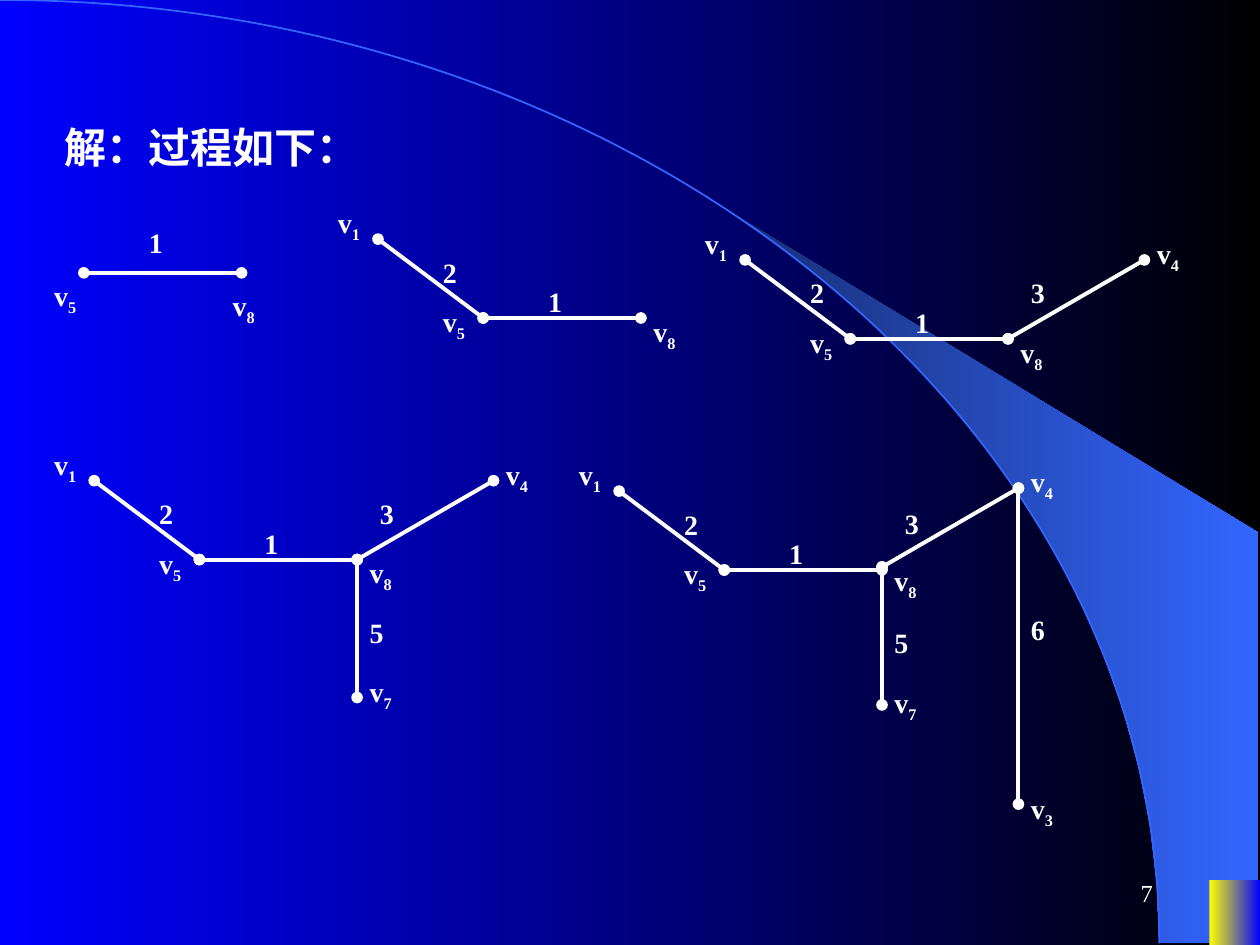
from dataclasses import dataclass
from math import cos, pi, sin

from lxml.etree import SubElement
from pptx import Presentation
from pptx.dml.color import RGBColor
from pptx.enum.shapes import MSO_CONNECTOR, MSO_SHAPE
from pptx.enum.text import MSO_ANCHOR, MSO_AUTO_SIZE, PP_ALIGN
from pptx.oxml.ns import qn
from pptx.util import Cm, Pt


@dataclass(frozen=True)
class Theme:
    font: str = "Times New Roman"
    white: str = "FFFFFF"
    blue: str = "0000FF"
    black: str = "000000"
    sky: str = "3366FF"
    navy: str = "182F76"
    yellow: str = "FFFF00"
    title: int = 24
    label: int = 16
    page: int = 14
    edge: float = 2.25
    arc: float = 1


THEME = Theme()

# Centimetres from v5; "end" is where the edge from v5 meets v8
POINTS = {
    "5": (0, 0), "end": (3.18, 0), "8": (3.18, 0), "1": (-2.12, -1.59),
    "4": (5.93, -1.59), "7": (3.18, 2.78), "3": (5.93, 4.72),
}
# Label corner, from its own vertex
NAMES = {
    "5": (-1.06, -0.39), "8": (0, -0.2), "1": (-1.06, -0.8),
    "4": (0, -0.59), "7": (0, -0.59), "3": (0, -0.38),
}
# Weight: first vertex, last vertex, label corner from v5
EDGES = {
    "1": ("5", "end", (1.06, -0.79)),
    "2": ("1", "5", (-1.06, -1.39)),
    "3": ("4", "8", (3.39, -1.4)),
    "5": ("8", "7", (3.18, 1)),
    "6": ("4", "3", (5.93, 0.74)),
}
# Place of v5, rise of the weights, weights, vertices, own points, own labels
TREES = [
    (1.69, 5.5, 0.28, "1", "58", {}, {"5": (-0.85, 0), "8": (-0.43, 0.2)}),
    (9.74, 6.41, 0, "12", "581", {}, {}),
    (17.14, 6.83, 0, "123", "5814", {}, {}),
    (4.02, 11.28, 0, "1235", "58147", {}, {}),
    (14.6, 11.49, 0, "12356", "581473",
     {"8": (3.18, -0.06), "4": (5.93, -1.65), "7": (3.18, 2.72)},
     {"7": (0, -0.52)}),
]


def rgb(color):
    return RGBColor.from_string(color)


def shade(fill, first, last):
    """Fill with a gradient from left to right."""
    fill.gradient()
    fill.gradient_angle = 0
    for stop, color in zip(fill.gradient_stops, (first, last)):
        stop.color.rgb = rgb(color)


def add_run(para, text, size, bold=True, sub=False):
    run = para.add_run()
    run.text = text
    run.font.name = THEME.font
    run.font.size = Pt(size)
    run.font.bold = bold
    run.font.color.rgb = rgb(THEME.white)
    if sub:
        run._r.get_or_add_rPr().set("baseline", "-25000")


def add_box(shapes, left, top, width, height):
    frame = shapes.add_textbox(Cm(left), Cm(top), Cm(width), Cm(height)).text_frame
    frame.word_wrap = True
    return frame


def add_label(shapes, left, top, text, sub=""):
    width, height = (1.32, 1.04) if sub else (1.09, 0.94)
    frame = add_box(shapes, left, top, width, height)
    frame.auto_size = MSO_AUTO_SIZE.SHAPE_TO_FIT_TEXT
    add_run(frame.paragraphs[0], text, THEME.label)
    if sub:
        add_run(frame.paragraphs[0], sub, THEME.label, sub=True)


def add_edge(shapes, start, end):
    """Draw a line with a dot at both ends."""
    edge = shapes.add_connector(MSO_CONNECTOR.STRAIGHT, *map(Cm, start + end))
    edge.line.color.rgb = rgb(THEME.white)
    edge.line.width = Pt(THEME.edge)
    for tag in ("a:headEnd", "a:tailEnd"):
        SubElement(edge.line._get_or_add_ln(), qn(tag)).set("type", "oval")
    SubElement(edge._element.spPr, qn("a:effectLst"))


def add_tree(slide, left, top, rise, weights, nodes, moves, shifts):
    shapes = slide.shapes.add_group_shape().shapes
    spots = {key: (left + x, top + y) for key, (x, y) in (POINTS | moves).items()}
    for weight in weights:
        start, end, (x, y) = EDGES[weight]
        add_edge(shapes, spots[start], spots[end])
        add_label(shapes, left + x, top + y - rise, weight)
    for node in nodes:
        x, y = (NAMES | shifts)[node]
        add_label(shapes, spots[node][0] + x, spots[node][1] + y, "v", node)


def add_free(slide, points, close):
    first, *rest = [(Cm(x), Cm(y)) for x, y in points]
    pen = slide.shapes.build_freeform(*first)
    pen.add_line_segments(rest, close=close)
    shape = pen.convert_to_shape()
    shape.shadow.inherit = False
    return shape


def add_wedge(slide, width, height, reach):
    """Fill the area between the arc and a line that leaves it."""
    start, steps = 0.695, 14
    angles = [start + (pi / 2 - start) * i / steps for i in range(steps + 1)]
    rim = [(reach * sin(a), height * (1 - cos(a))) for a in angles]
    wedge = add_free(slide, rim + [(width, height), (width, 10.74)], True)
    shade(wedge.fill, THEME.navy, THEME.sky)
    wedge.line.fill.background()


def add_arc(slide, reach, height):
    """Draw a quarter ellipse as one Bézier curve."""
    pull = 0.55
    arc = add_free(slide, [(0, 0), (pull * reach, 0),
                           (reach, (1 - pull) * height), (reach, height)], False)
    lines = list(arc._element.iter(qn("a:lnTo")))
    bend = SubElement(lines[0].getparent(), qn("a:cubicBezTo"))
    for line in lines:
        bend.append(line[0])
        line.getparent().remove(line)
    arc.fill.background()
    arc.line.color.rgb = rgb(THEME.sky)
    arc.line.width = Pt(THEME.arc)


def add_decor(slide, width, height):
    """Draw the wedge, the arc and the corner block within the slide."""
    shade(slide.background.fill, THEME.blue, THEME.black)
    reach, base = 23.37, height - 0.03
    add_wedge(slide, width - 0.03, base, reach)
    add_arc(slide, reach, base)
    block = slide.shapes.add_shape(
        MSO_SHAPE.RECTANGLE, Cm(width - 1.02), Cm(height - 1.31), Cm(1.02), Cm(1.31))
    block.shadow.inherit = False
    shade(block.fill, THEME.yellow, THEME.blue)
    block.line.fill.background()


def set_title(slide, left, top, width, height):
    title = slide.shapes.title
    title.left, title.top = Cm(left), Cm(top)
    title.width, title.height = Cm(width), Cm(height)
    frame = title.text_frame
    frame.word_wrap = True
    frame.auto_size = MSO_AUTO_SIZE.SHAPE_TO_FIT_TEXT
    frame.vertical_anchor = MSO_ANCHOR.TOP
    para = frame.paragraphs[0]
    para.alignment = PP_ALIGN.LEFT
    add_run(para, "解：过程如下：", THEME.title)


def add_page(slide, left, top, width, height):
    frame = add_box(slide.shapes, left, top, width, height)
    frame.vertical_anchor = MSO_ANCHOR.MIDDLE
    para = frame.paragraphs[0]
    para.alignment = PP_ALIGN.RIGHT
    add_run(para, "7", THEME.page, bold=False)


def main():
    deck = Presentation()
    deck.slide_width, deck.slide_height = Cm(25.4), Cm(19.05)
    slide = deck.slides.add_slide(deck.slide_layouts[5])
    add_decor(slide, 25.4, 19.05)
    add_page(slide, 18.21, 17.36, 5.28, 1.27)
    set_title(slide, 1.05, 2.33, 20.96, 1.27)
    for tree in TREES:
        add_tree(slide, *tree)
    deck.save("out.pptx")


if __name__ == "__main__":
    main()
